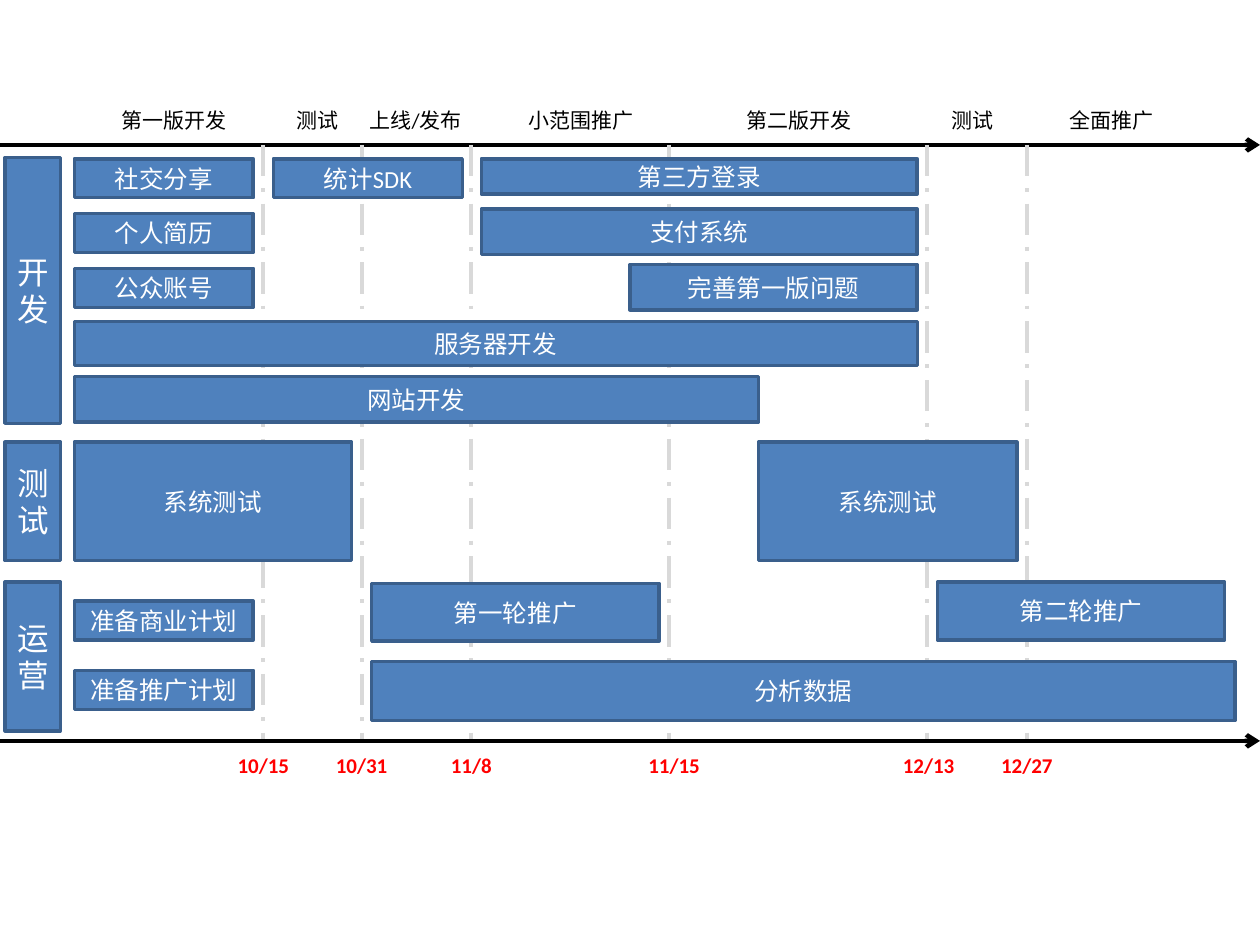
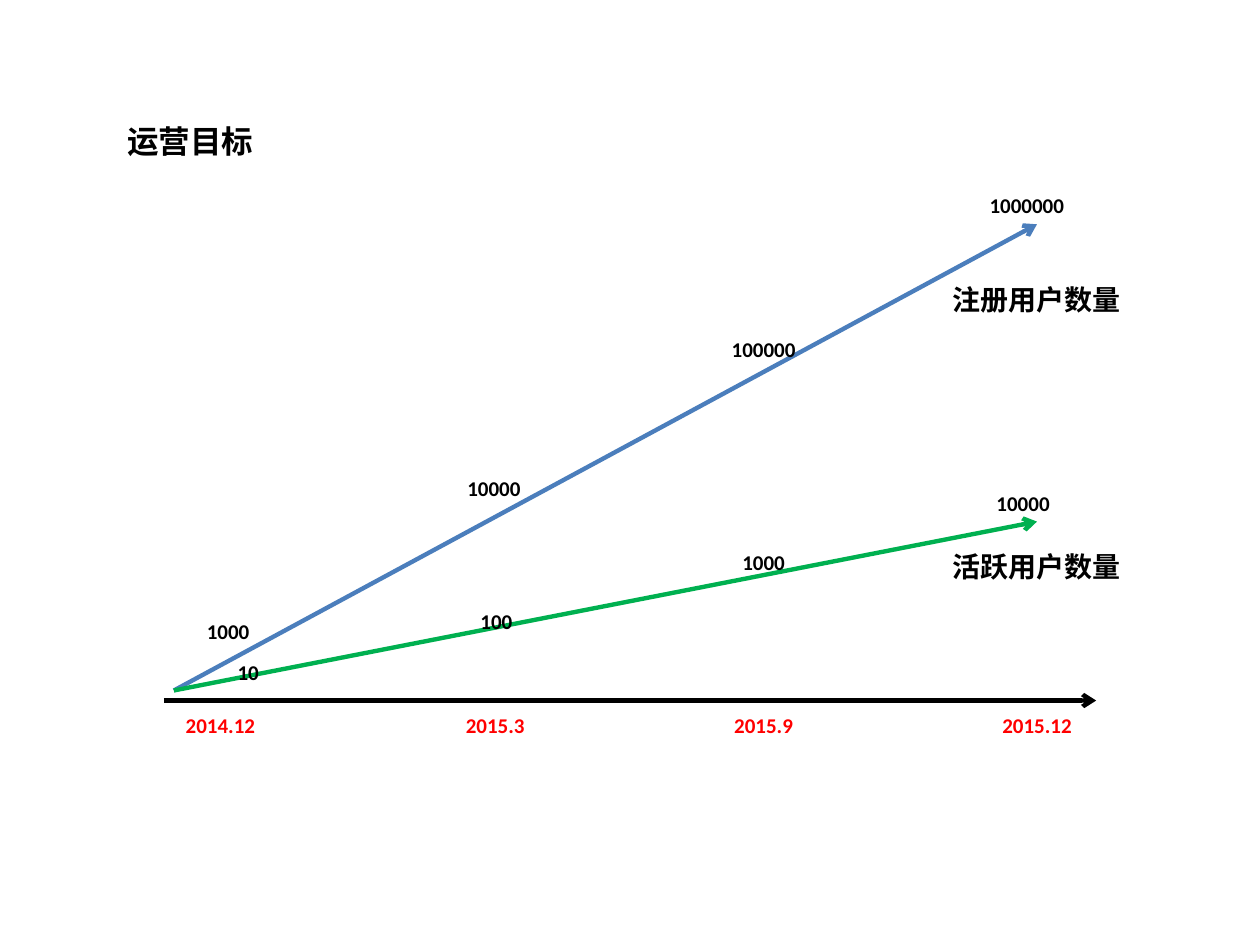
"""Build a two-slide product plan: a roadmap and the operating targets."""
from dataclasses import dataclass

import lxml.etree
import pptx
import pptx.dml.color
import pptx.enum.dml
import pptx.enum.shapes
import pptx.enum.text
import pptx.oxml.ns
import pptx.util

Inches = pptx.util.Inches
ALIGN = pptx.enum.text.PP_ALIGN
ANCHOR = pptx.enum.text.MSO_ANCHOR


@dataclass(frozen=True)
class Theme:
    """Colours, font and type sizes shared by the slides."""
    font: str = "Calibri"
    ink: str = "000000"
    paper: str = "FFFFFF"
    date: str = "FF0000"
    guide: str = "D9D9D9"
    bar: str = "4F81BD"
    bar_edge: str = "3A5F8C"
    registered: str = "4B7EBC"
    active: str = "00B050"
    small: float = 12
    body: float = 14
    series: float = 16
    heading: float = 18
    axis_width: float = 2.5
    guide_width: float = 2.25
    edge_width: float = 2


@dataclass(frozen=True)
class Box:
    """A rectangle in inches."""
    left: float
    top: float
    width: float
    height: float

    def inner(self, left, top, width, height):
        """Return a box placed relative to this one."""
        return Box(self.left + left, self.top + top, width, height)

    def lengths(self):
        """Return left, top, width and height as lengths."""
        return [Inches(side) for side in (self.left, self.top, self.width, self.height)]


THEME = Theme()
LABEL_HEIGHT = 0.39


def rgb(code):
    """Turn a hex code into a colour."""
    return pptx.dml.color.RGBColor.from_string(code)


def write(shape, text, size, color, bold=False, align=ALIGN.CENTER, anchor=ANCHOR.MIDDLE):
    """Write one formatted run into a shape."""
    frame = shape.text_frame
    frame.word_wrap = True
    frame.vertical_anchor = anchor
    para = frame.paragraphs[0]
    para.alignment = align
    span = para.add_run()
    span.text = text
    span.font.name = THEME.font
    span.font.size = pptx.util.Pt(size)
    span.font.bold = bold
    span.font.color.rgb = rgb(color)


def add_label(page, box, text, size=THEME.small, color=THEME.ink, bold=False):
    """Add centred text without a frame."""
    write(page.shapes.add_textbox(*box.lengths()), text, size, color, bold)


def add_bar(page, box, text, size=THEME.body):
    """Add a filled rectangle with a centred caption."""
    bar = page.shapes.add_shape(pptx.enum.shapes.MSO_SHAPE.RECTANGLE, *box.lengths())
    bar.shadow.inherit = False
    bar.fill.solid()
    bar.fill.fore_color.rgb = rgb(THEME.bar)
    bar.line.color.rgb = rgb(THEME.bar_edge)
    bar.line.width = pptx.util.Pt(THEME.edge_width)
    write(bar, text, size, THEME.paper)


def add_line(page, box, start, end, color, width=THEME.axis_width, arrow=True):
    """Draw an arrow, or a dashed guide, between two points of a box."""
    points = [Inches(origin + offset) for point in (start, end)
              for origin, offset in zip((box.left, box.top), point)]
    line = page.shapes.add_connector(pptx.enum.shapes.MSO_CONNECTOR.STRAIGHT, *points)
    line.line.color.rgb = rgb(color)
    line.line.width = pptx.util.Pt(width)
    if arrow:
        stroke = line.line._get_or_add_ln()
        lxml.etree.SubElement(stroke, pptx.oxml.ns.qn("a:tailEnd"), type="arrow")
    else:
        line.line.dash_style = pptx.enum.dml.MSO_LINE.LONG_DASH_DOT
    lxml.etree.SubElement(line._element.spPr, pptx.oxml.ns.qn("a:effectLst"))


def add_dates(page, box, top, dates):
    """Add red dates, given as text, centre and width, under an axis."""
    for text, centre, width in dates:
        add_label(page, box.inner(centre - width / 2, top, width, LABEL_HEIGHT),
                  text, color=THEME.date, bold=True)


def add_timeline(page, box, phases, milestones):
    """Draw phase names, both axes, milestone guides and dates."""
    top, bottom = LABEL_HEIGHT, box.height - LABEL_HEIGHT
    add_line(page, box, (0, top), (box.width, top), THEME.ink)
    for name, centre, width in phases:
        add_label(page, box.inner(centre - width / 2, 0, width, LABEL_HEIGHT), name)
    for _, guide, _ in milestones:
        add_line(page, box, (guide, top), (guide, bottom), THEME.guide,
                 THEME.guide_width, arrow=False)
    add_line(page, box, (0, bottom), (box.width, bottom), THEME.ink)
    add_dates(page, box, bottom, [(date, centre, 0.71) for date, _, centre in milestones])


def add_band(page, box, name, tasks):
    """Draw a team's heading block and its task bars."""
    add_bar(page, box.inner(0, 0, 0.44, box.height), name, THEME.heading)
    for text, *place in tasks:
        add_bar(page, box.inner(*place), text)


def add_title(page, box, text):
    """Move and format the title placeholder."""
    title = page.shapes.title
    title.left, title.top, title.width, title.height = box.lengths()
    title.text_frame.auto_size = pptx.enum.text.MSO_AUTO_SIZE.NONE
    write(title, text, THEME.heading, THEME.ink, True, ALIGN.LEFT, ANCHOR.TOP)


def add_growth(page, box, dates, series):
    """Draw the date axis and one labelled growth arrow per series."""
    axis = box.height - LABEL_HEIGHT
    add_line(page, box, (0, axis), (box.width, axis), THEME.ink)
    add_dates(page, box, axis, dates)
    for name, name_top, color, end_top, values in series:
        add_line(page, box, (0.08, axis - 0.08), (6.93, end_top), color)
        for value, centre, middle in values:
            add_label(page, box.inner(centre - 0.47, middle - 0.16, 0.94, 0.32),
                      value, bold=True)
        add_label(page, box.inner(6.14, name_top, 1.57, LABEL_HEIGHT),
                  name, THEME.series, bold=True)


PHASES = [
    ("第一版开发", 1.38, 1.1), ("测试", 2.52, 0.71), ("上线/发布", 3.3, 0.94),
    ("小范围推广", 4.61, 1.26), ("第二版开发", 6.34, 1.1), ("测试", 7.72, 0.71),
    ("全面推广", 8.82, 1.02),
]
# Date, guide position, centre of the date label
MILESTONES = [
    ("10/15", 2.09, 2.09), ("10/31", 2.87, 2.87), ("11/8", 3.74, 3.74),
    ("11/15", 5.31, 5.35), ("12/13", 7.36, 7.37), ("12/27", 8.15, 8.15),
]
# Task, then left, top, width and height within the band
FIRST = 0.55
SMALL = (1.42, 0.31)
BANDS = [
    ("开发", Box(0.04, 1.25, 9.8, 2.11), [
        *[(text, FIRST, 0.01 + 0.435 * row, *SMALL)
          for row, text in enumerate(["社交分享", "个人简历", "公众账号"])],
        ("统计SDK", 2.13, 0.01, 1.5, 0.31),
        ("第三方登录", 3.78, 0.01, 3.46, 0.28),
        ("支付系统", 3.78, 0.41, 3.46, 0.36),
        ("完善第一版问题", 4.96, 0.85, 2.28, 0.36),
        ("服务器开发", FIRST, 1.3, 6.69, 0.35),
        ("网站开发", FIRST, 1.74, 5.43, 0.36),
    ]),
    ("测试", Box(0.04, 3.51, 9.8, 0.94), [
        ("系统测试", FIRST, 0, 2.2, 0.94),
        ("系统测试", 5.98, 0, 2.05, 0.94),
    ]),
    ("运营", Box(0.04, 4.62, 9.8, 1.18), [
        ("准备商业计划", FIRST, 0.15, *SMALL),
        ("准备推广计划", FIRST, 0.7, *SMALL),
        ("第一轮推广", 2.91, 0.01, 2.28, 0.46),
        ("第二轮推广", 7.4, 0, 2.28, 0.46),
        ("分析数据", 2.91, 0.63, 6.85, 0.47),
    ]),
]
TARGET_DATES = [("2014.12", 0.45, 0.9), ("2015.3", 2.63, 0.71),
                ("2015.9", 4.76, 0.71), ("2015.12", 6.93, 0.79)]
# Name, its top, colour, arrow end, then values with their centres
SERIES = [
    ("注册用户数量", 0.71, THEME.registered, 0.31,
     [("1000", 0.51, 3.54), ("10000", 2.62, 2.4),
      ("100000", 4.76, 1.3), ("1000000", 6.85, 0.16)]),
    ("活跃用户数量", 2.83, THEME.active, 2.67,
     [("10", 0.67, 3.86), ("100", 2.64, 3.46),
      ("1000", 4.76, 2.99), ("10000", 6.82, 2.52)]),
]


def main():
    """Build and save the deck."""
    deck = pptx.Presentation()
    deck.slide_width, deck.slide_height = Inches(10), Inches(7.5)
    title_only, blank = deck.slide_layouts[5], deck.slide_layouts[6]

    roadmap = deck.slides.add_slide(blank)
    add_timeline(roadmap, Box(0, 0.76, 10, 5.51), PHASES, MILESTONES)
    for name, box, tasks in BANDS:
        add_band(roadmap, box, name, tasks)

    targets = deck.slides.add_slide(title_only)
    add_title(targets, Box(0.91, 0.92, 1.34, 0.4), "运营目标")
    add_growth(targets, Box(1.3, 1.47, 7.4, 4.48), TARGET_DATES, SERIES)

    deck.save("out.pptx")


main()
